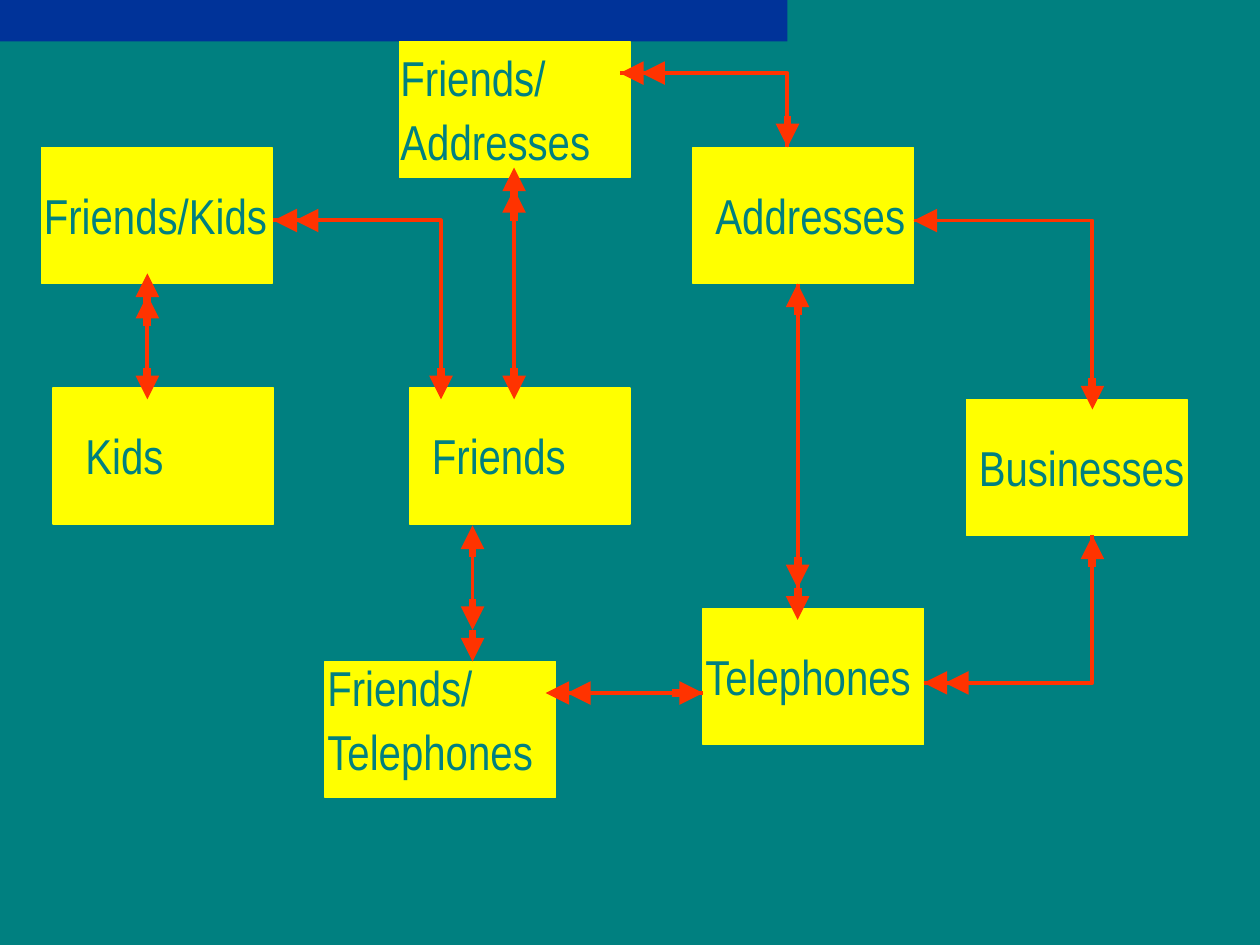
from lxml import etree
from pptx import Presentation
from pptx import util as u
from pptx.dml.color import RGBColor
from pptx.enum import shapes, text
from pptx.oxml import ns

COLORS = {"background": "008080", "bar": "003399", "entity": "FFFF00",
          "label": "008080", "relation": "FF3300"}
ENTITY_HEIGHT = 1.08

# Lines of the label, box (left, top, width), label (left, top, width)
ENTITIES = [
    (["Friends"], (3.25, 3.08, 1.75), (3.33, 3.33, 1.5)),
    (["Addresses"], (5.5, 1.17, 1.75), (5.58, 1.42, 2.08)),
    (["Telephones"], (5.58, 4.83, 1.75), (5.5, 5.08, 2.33)),
    (["Businesses"], (7.67, 3.17, 1.75), (7.67, 3.42, 2)),
    (["Kids"], (0.42, 3.08, 1.75), (0.58, 3.33, 1.33)),
    (["Friends/Kids"], (0.33, 1.17, 1.83), (0.25, 1.42, 2.08)),
    (["Friends/", "Telephones"], (2.58, 5.25, 1.83), (2.5, 5.17, 2.08)),
    (["Friends/", "Addresses"], (3.17, 0.33, 1.83), (3.08, 0.33, 2.08)),
]

# Direction of an arrowhead: (dx, dy, shaft length, gap between double heads)
DIRECTIONS = {"left": (-1, 0, 0.17, 0.17), "right": (1, 0, 0.25, 0.25),
              "up": (0, -1, 0.25, 0.17), "down": (0, 1, 0.25, 0.25)}

# Route, then arrowheads as (tip x, tip y, direction, count)
RELATIONS = [
    ([(1.17, 3.08), (1.17, 2.42)],
     [(1.17, 2.17, "up", 2), (1.17, 3.17, "down", 1)]),
    ([(2.17, 1.75), (3.5, 1.75), (3.5, 3.08)],
     [(2.17, 1.75, "left", 2), (3.5, 3.17, "down", 1)]),
    ([(4.08, 3.08), (4.08, 1.75)],
     [(4.08, 1.33, "up", 2), (4.08, 3.17, "down", 1)]),
    ([(4.92, 0.58), (6.25, 0.58), (6.25, 1.17)],
     [(4.92, 0.58, "left", 2), (6.25, 1.17, "down", 1)]),
    ([(7.25, 1.75), (8.67, 1.75), (8.67, 3.17)],
     [(7.25, 1.75, "left", 1), (8.67, 3.25, "down", 1)]),
    ([(7.33, 5.42), (8.67, 5.42), (8.67, 4.25)],
     [(7.33, 5.42, "left", 2), (8.67, 4.25, "up", 1)]),
    ([(6.33, 2.25), (6.33, 4.83)],
     [(6.33, 2.25, "up", 1), (6.33, 4.92, "down", 2)]),
    ([(3.75, 4.92), (3.75, 4.42)],
     [(3.75, 4.17, "up", 1), (3.75, 5.25, "down", 2)]),
    ([(4.5, 5.5), (5.58, 5.5)],
     [(4.33, 5.5, "left", 2), (5.58, 5.5, "right", 1)]),
]


def color(name):
    return RGBColor.from_string(COLORS[name])


def add_box(slide, left, top, width, height, fill):
    box = slide.shapes.add_shape(
        shapes.MSO_SHAPE.RECTANGLE,
        *(u.Inches(v) for v in (left, top, width, height)))
    box.shadow.inherit = False
    box.fill.solid()
    box.fill.fore_color.rgb = color(fill)
    return box


def add_top_bar(slide):
    add_box(slide, 0, 0, 6.25, 0.33, "bar").line.fill.background()


def add_entity(slide, lines, box_place, label_place):
    box = add_box(slide, *box_place, ENTITY_HEIGHT, "entity")
    box.line.color.rgb = color("entity")
    box.line.width = u.Pt(0.75)

    label_height = 0.57 if len(lines) == 1 else 1.05
    label = slide.shapes.add_textbox(
        *(u.Inches(v) for v in (*label_place, label_height)))
    frame = label.text_frame
    frame.word_wrap = True
    frame.auto_size = text.MSO_AUTO_SIZE.SHAPE_TO_FIT_TEXT
    frame.text = "\n".join(lines)
    for index, paragraph in enumerate(frame.paragraphs):
        paragraph.font.name = "Arial Narrow"
        paragraph.font.size = u.Pt(28)
        paragraph.font.color.rgb = color("label")
        if index:
            paragraph.line_spacing = 0.5
            paragraph.space_before = u.Pt(17.5)


def add_line(slide, start, end, weight):
    line = slide.shapes.add_connector(
        shapes.MSO_CONNECTOR.STRAIGHT,
        *(u.Inches(v) for v in (*start, *end)))
    line.line.color.rgb = color("relation")
    line.line.width = u.Pt(weight)
    etree.SubElement(line._element.spPr, ns.qn("a:effectLst"))
    return line


def add_bent_line(slide, route):
    start, *rest = [(u.Inches(x), u.Inches(y)) for x, y in route]
    builder = slide.shapes.build_freeform(*start)
    builder.add_line_segments(rest, close=False)
    bend = builder.convert_to_shape()
    bend.shadow.inherit = False
    bend.fill.background()
    bend.line.color.rgb = color("relation")
    bend.line.width = u.Pt(2.25)


def add_heads(slide, x, y, direction, count):
    """Place count arrowheads in a row, the foremost with its tip at x, y."""
    dx, dy, shaft, gap = DIRECTIONS[direction]
    for i in range(count):
        tip = (x - dx * gap * i, y - dy * gap * i)
        tail = (tip[0] - dx * shaft, tip[1] - dy * shaft)
        head = add_line(slide, tail, tip, 4.5)
        etree.SubElement(head.line._get_or_add_ln(), ns.qn("a:tailEnd"),
                         type="triangle")


def add_relation(slide, route, heads):
    if len(route) == 2:
        add_line(slide, *route, 2.25)
    else:
        add_bent_line(slide, route)
    for head in heads:
        add_heads(slide, *head)


def main():
    deck = Presentation()
    deck.slide_width, deck.slide_height = u.Inches(10), u.Inches(7.5)
    slide = deck.slides.add_slide(deck.slide_layouts[6])
    slide.background.fill.solid()
    slide.background.fill.fore_color.rgb = color("background")
    add_top_bar(slide)
    for entity in ENTITIES:
        add_entity(slide, *entity)
    for relation in RELATIONS:
        add_relation(slide, *relation)
    deck.save("out.pptx")


if __name__ == "__main__":
    main()
